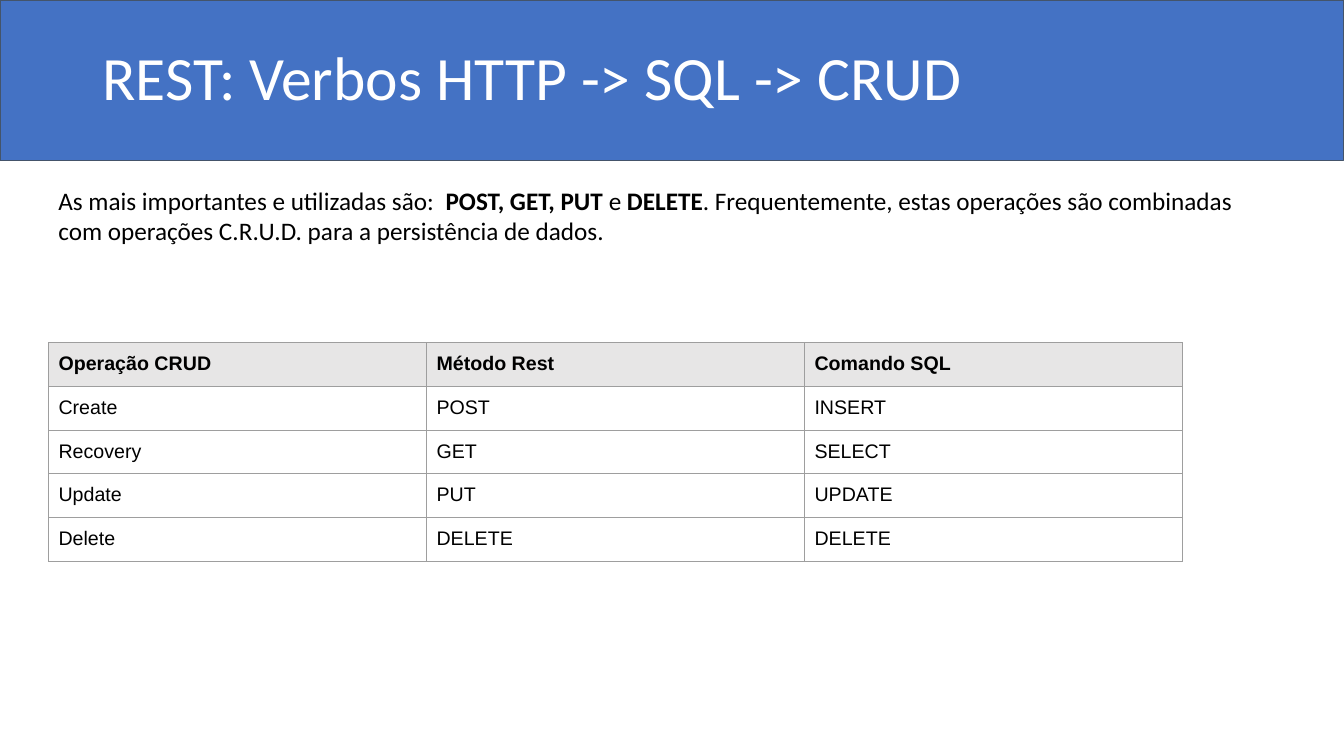
"""Builds the slide that maps HTTP verbs to SQL commands and CRUD operations."""
from lxml.etree import SubElement
from pptx import Presentation
from pptx.dml.color import RGBColor
from pptx.enum.shapes import MSO_SHAPE as Preset
from pptx.enum.text import MSO_ANCHOR as Anchor, MSO_AUTO_SIZE as AutoSize
from pptx.oxml.ns import qn
from pptx.util import Pt

BLUE = RGBColor(0x44, 0x72, 0xC4)
SLATE = RGBColor(0x44, 0x54, 0x6A)
WHITE = RGBColor(0xFF, 0xFF, 0xFF)
BLACK = RGBColor(0x00, 0x00, 0x00)
HEADER_GRAY = RGBColor(0xE7, 0xE6, 0xE6)
BORDER_GRAY = RGBColor(0x9E, 0x9E, 0x9E)

SLIDE_WIDTH, SLIDE_HEIGHT = 960, 540
INSET = 7.2
COLUMN_WIDTH, ROW_HEIGHT = 270, 31.2

INTRO = [
    ("As mais importantes e utilizadas são: ", False),
    (" POST, GET, PUT ", True),
    ("e", False),
    (" DELETE", True),
    (". Frequentemente, estas operações são combinadas com operações "
     "C.R.U.D. para a persistência de dados.", False),
]
OPERATIONS = [
    ("Operação CRUD", "Método Rest", "Comando SQL"),
    ("Create", "POST", "INSERT"),
    ("Recovery", "GET", "SELECT"),
    ("Update", "PUT", "UPDATE"),
    ("Delete", "DELETE", "DELETE"),
]


def add_run(paragraph, text, size, font_name, color, bold=False):
    """Append one formatted run to a paragraph."""
    run = paragraph.add_run()
    run.text = text
    run.font.size = Pt(size)
    run.font.name = font_name
    run.font.bold = bold
    run.font.color.rgb = color


def set_margins(holder, side, vertical):
    """Set the inner margins of a text frame or a table cell."""
    holder.margin_left = holder.margin_right = Pt(side)
    holder.margin_top = holder.margin_bottom = Pt(vertical)


def add_banner(slide):
    """Draw the band behind the title."""
    banner = slide.shapes.add_shape(
        Preset.RECTANGLE, Pt(0), Pt(0), Pt(SLIDE_WIDTH), Pt(114.5))
    banner.shadow.inherit = False
    banner.fill.solid()
    banner.fill.fore_color.rgb = BLUE
    banner.line.color.rgb = SLATE
    banner.line.width = Pt(0.75)


def add_text(slide, box, vertical_inset, runs, size, color):
    """Add a wrapping text box and return its text frame."""
    frame = slide.shapes.add_textbox(*map(Pt, box)).text_frame
    frame.word_wrap = True
    set_margins(frame, INSET, vertical_inset)
    for text, bold in runs:
        add_run(frame.paragraphs[0], text, size, "Calibri", color, bold)
    return frame


def add_borders(cell):
    """Draw a thin gray line on all four sides of a cell."""
    properties = cell._tc.get_or_add_tcPr()
    for side in ("lnL", "lnR", "lnT", "lnB"):
        line = SubElement(properties, qn(f"a:{side}"), w=str(Pt(0.75)))
        fill = SubElement(line, qn("a:solidFill"))
        SubElement(fill, qn("a:srgbClr"), val=str(BORDER_GRAY))


def fill_cell(cell, text, is_header):
    """Write and style one table cell."""
    set_margins(cell, INSET, INSET)
    add_run(cell.text_frame.paragraphs[0], text, 14, "Arial", BLACK, is_header)
    add_borders(cell)
    if is_header:
        cell.fill.solid()
        cell.fill.fore_color.rgb = HEADER_GRAY
    else:
        cell.fill.background()


def add_operations_table(slide, left, top):
    """Add the table of CRUD operations."""
    row_count, column_count = len(OPERATIONS), len(OPERATIONS[0])
    table = slide.shapes.add_table(
        row_count, column_count, Pt(left), Pt(top),
        Pt(column_count * COLUMN_WIDTH), Pt(row_count * ROW_HEIGHT)).table
    table.horz_banding = False
    for column in table.columns:
        column.width = Pt(COLUMN_WIDTH)
    for row_index, (row, texts) in enumerate(zip(table.rows, OPERATIONS)):
        row.height = Pt(ROW_HEIGHT)
        for cell, text in zip(row.cells, texts):
            fill_cell(cell, text, row_index == 0)


def main():
    """Build and save the presentation."""
    deck = Presentation()
    deck.slide_width, deck.slide_height = Pt(SLIDE_WIDTH), Pt(SLIDE_HEIGHT)
    slide = deck.slides.add_slide(deck.slide_layouts[6])
    add_banner(slide)
    title = add_text(slide, (66, 5, 828, 104.4), 3.6,
                     [("REST: Verbos HTTP -> SQL -> CRUD", False)], 44, WHITE)
    title.vertical_anchor = Anchor.MIDDLE
    title.paragraphs[0].line_spacing = 0.9
    intro = add_text(slide, (34.6, 125.3, 859, 58.3), INSET, INTRO, 18, BLACK)
    intro.auto_size = AutoSize.SHAPE_TO_FIT_TEXT
    add_operations_table(slide, 34.6, 244.8)
    deck.save("out.pptx")


if __name__ == "__main__":
    main()
